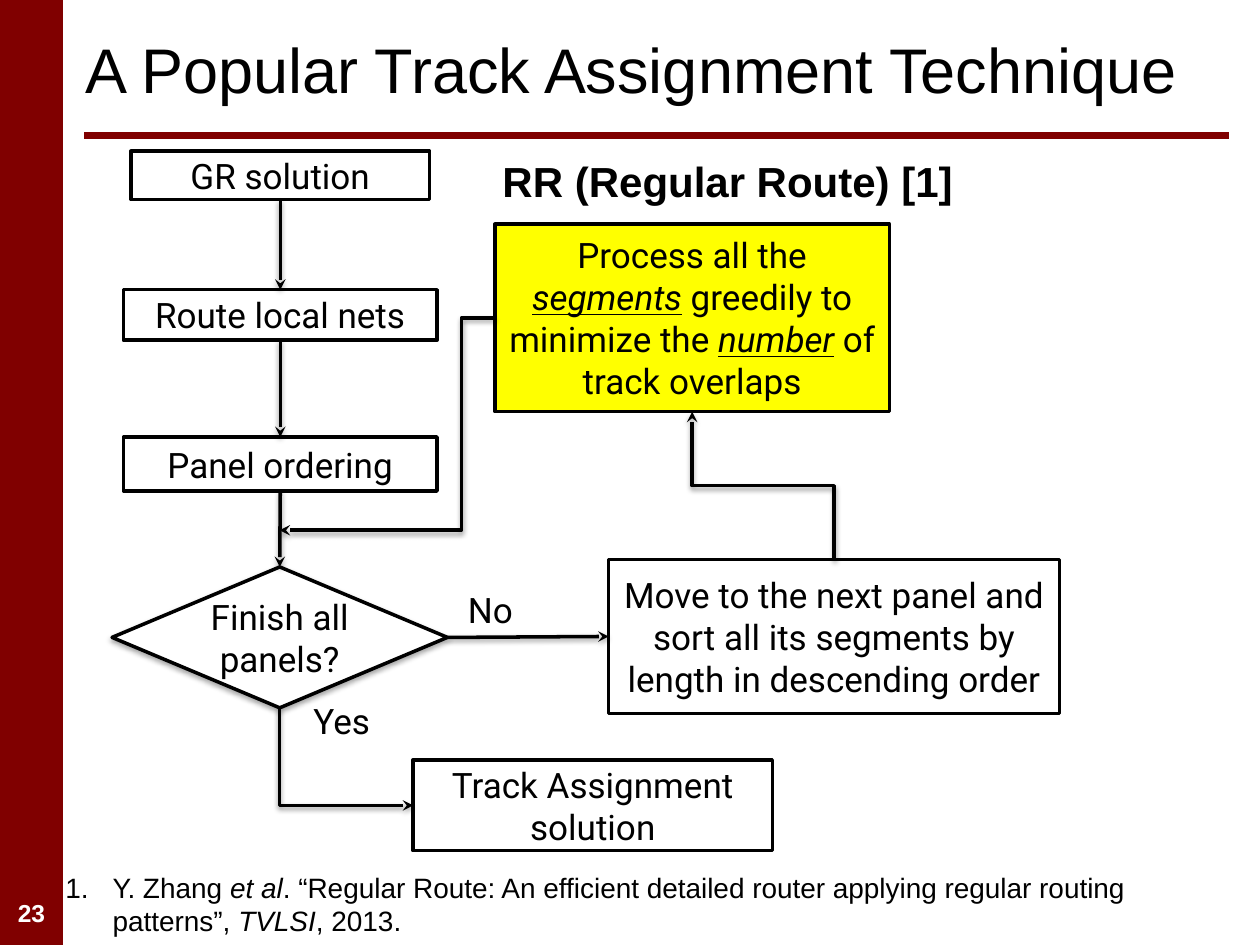
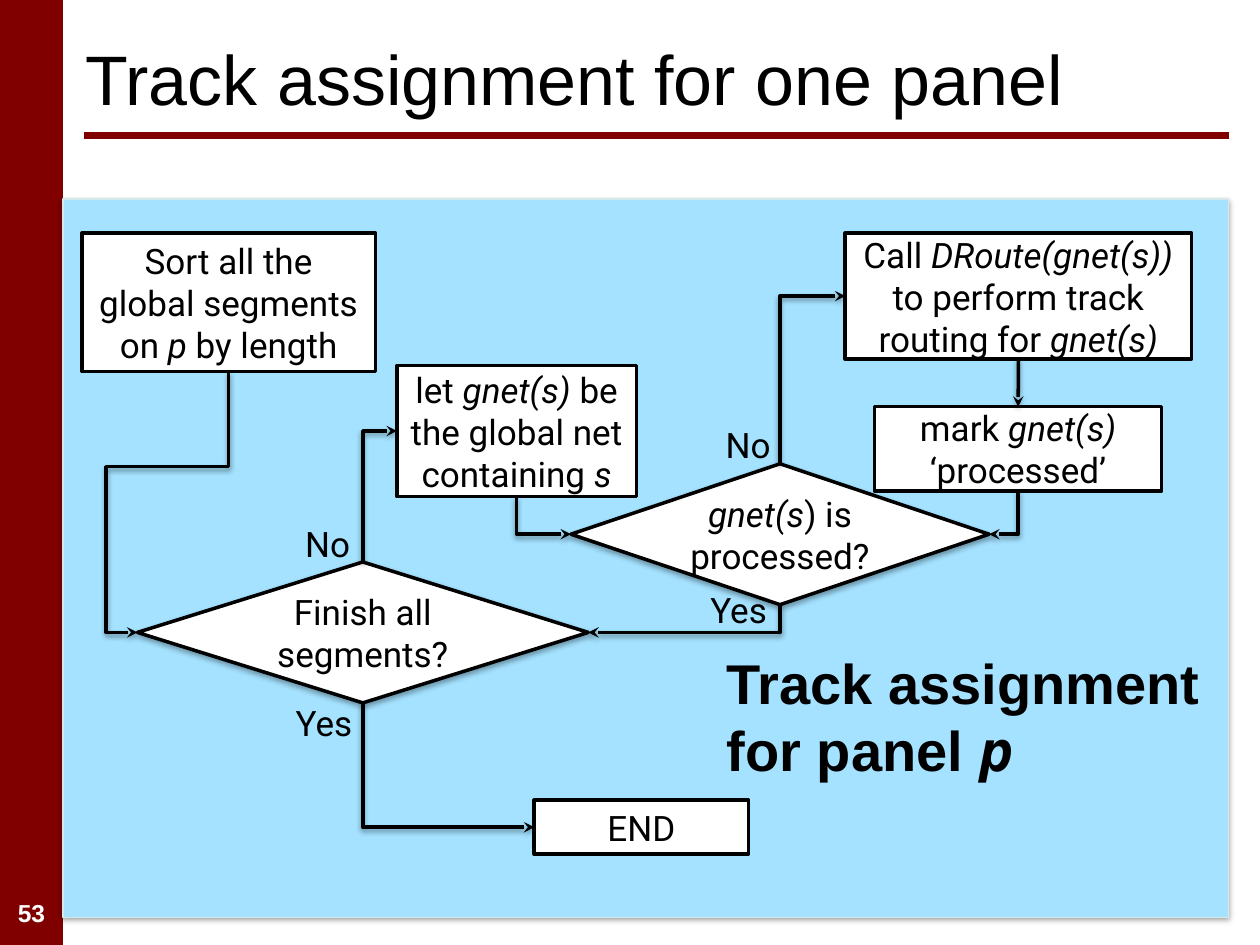
"""Build two track assignment flowchart slides."""
from lxml.etree import SubElement
from pptx import Presentation
from pptx.dml.color import RGBColor
from pptx.enum.shapes import MSO_CONNECTOR, MSO_SHAPE
from pptx.enum.text import MSO_ANCHOR, MSO_AUTO_SIZE, PP_ALIGN
from pptx.oxml.ns import qn
from pptx.util import Cm, Pt

COLORS = {"maroon": "800000", "black": "000000", "white": "FFFFFF",
          "yellow": "FFFF00", "sky": "A4E2FF", "edge": "D5E8EA"}
HEAD, BODY, MONO = "Arial", "Roboto", "DejaVu Sans Mono"
TOP, LEFT, BOTTOM, RIGHT = range(4)
NO_SIZE, YES_SIZE = (1.93, 1.12), (2.9, 1.12)

# Boxes are left, top, width, height in cm; *stars* mark italics.
# Arrows are start, side, end, side, bends (None means straight).
TECHNIQUE = {
    "title": "A Popular Track Assignment Technique",
    "title_top": 0, "title_size": 36, "number": "23",
    "nodes": {
        "input": ("step", (2.64, 3.05, 6.02, 0.97), "GR solution"),
        "result": ("step", (8.33, 15.32, 7.24, 1.83), "Track Assignment\nsolution"),
        "done": ("decision", (2.26, 11.43, 6.76, 2.84), "Finish all panels?"),
        "local": ("step", (2.49, 5.84, 6.32, 1.02), "Route local nets"),
        "order": ("step", (2.49, 8.81, 6.32, 1.09), "Panel ordering"),
        "next": ("step", (12.27, 11.28, 9.09, 3.1),
                 "Move to the next panel and sort all its segments by length "
                 "in descending order"),
        "greedy": ("focus", (9.98, 4.52, 7.95, 3.78),
                   "Process all the *segments* greedily to minimize the "
                   "*number* of track overlaps"),
    },
    "arrows": [
        ("input", BOTTOM, "local", TOP, None),
        ("local", BOTTOM, "order", TOP, None),
        ("order", BOTTOM, "done", TOP, None),
        ("done", RIGHT, "next", LEFT, None),
        ("done", BOTTOM, "result", LEFT, ()),
        ("greedy", LEFT, (5.64, 10.69), None, (0.156,)),
        ("next", TOP, "greedy", BOTTOM, (0.5,)),
    ],
    "labels": [("No", (8.92, 11.73)), ("Yes", (5.44, 13.97))],
}
ONE_PANEL = {
    "title": "Track assignment for one panel",
    "title_top": 0.2, "title_size": 40, "number": "53",
    "nodes": {
        "panel": ("panel", (1.27, 4.01, 23.5, 14.48), ""),
        "sort": ("step", (1.65, 4.7, 5.92, 2.79),
                 "Sort all the global segments on *p* by length"),
        "end": ("step", (10.77, 16.13, 4.32, 1.09), "END"),
        "done": ("decision", (2.77, 11.33, 9.09, 2.84), "Finish all segments?"),
        "let": ("step", (8, 7.37, 4.83, 2.64),
                "let *gnet(s)* be the global net containing *s*"),
        "processed": ("decision", (11.51, 9.35, 8.43, 2.84),
                      "*gnet(s*) is processed?"),
        "call": ("step", (17.04, 4.7, 6.98, 2.54),
                 "Call *DRoute(gnet(s)) *to perform track routing for *gnet(s)*"),
        "mark": ("step", (17.63, 8.2, 5.79, 1.7), "mark *gnet(s)* ‘processed’"),
    },
    "arrows": [
        ("sort", BOTTOM, "done", LEFT, (0.365, 1.342)),
        ("done", TOP, "let", LEFT, ()),
        ("let", BOTTOM, "processed", LEFT, ()),
        ("processed", TOP, "call", LEFT, ()),
        ("call", BOTTOM, "mark", TOP, None),
        ("mark", BOTTOM, "processed", RIGHT, ()),
        ("processed", BOTTOM, "done", RIGHT, ()),
        ("done", BOTTOM, "end", LEFT, ()),
    ],
    "labels": [("Yes", (5.08, 14.02)), ("No", (5.64, 10.41)),
               ("No", (14.12, 8.41)), ("Yes", (13.44, 11.73))],
}
HEADING = "RR (Regular Route) [1]"
REFERENCE = ("Y. Zhang *et al*. “Regular Route: An efficient detailed router applying "
             "regular routing patterns”, *TVLSI*, 2013.")
CAPTION = "Track assignment for panel *p*"

# kind: preset, fill, line colour, line width, shadow opacity
KINDS = {
    "step": (MSO_SHAPE.ROUNDED_RECTANGLE, "white", "black", 2, None),
    "focus": (MSO_SHAPE.ROUNDED_RECTANGLE, "yellow", "black", 2, None),
    "decision": (MSO_SHAPE.DIAMOND, "white", "black", 2, 35),
    "panel": (MSO_SHAPE.ROUNDED_RECTANGLE, "sky", "edge", 0.75, 38),
}


def rgb(name):
    return RGBColor.from_string(COLORS[name])


def write(tf, text, size, font=BODY, color="black", align=PP_ALIGN.CENTER,
          bold=False, underline=False, italic_font=None):
    for n, line in enumerate(text.split("\n")):
        p = tf.add_paragraph() if n else tf.paragraphs[0]
        p.alignment = align
        for i, piece in enumerate(line.split("*")):
            if not piece:
                continue
            italic = i % 2 == 1
            r = p.add_run()
            r.text = piece
            r.font.size, r.font.bold, r.font.italic = Pt(size), bold, italic
            r.font.underline = underline and italic
            r.font.name = italic_font if italic and italic_font else font
            r.font.color.rgb = rgb(color)


def add_text(s, box, text, size, wrap=True, **style):
    sp = s.shapes.add_textbox(*map(Cm, box))
    sp.text_frame.word_wrap = wrap
    write(sp.text_frame, text, size, **style)
    return sp


def set_shadow(sp, opacity=None):
    spPr = sp._element.spPr
    effects = spPr.find(qn("a:effectLst"))
    if effects is None:
        effects = SubElement(spPr, qn("a:effectLst"))
    if opacity:
        shadow = SubElement(effects, qn("a:outerShdw"), blurRad=str(Pt(3.1)),
                            dist=str(Pt(1.6)), dir="5400000", rotWithShape="0")
        clr = SubElement(shadow, qn("a:srgbClr"), val=COLORS["black"])
        SubElement(clr, qn("a:alpha"), val=str(opacity * 1000))


def add_node(s, kind, box, text):
    preset, fill, line, width, opacity = KINDS[kind]
    sp = s.shapes.add_shape(preset, *map(Cm, box))
    if preset == MSO_SHAPE.ROUNDED_RECTANGLE:
        sp.adjustments[0] = 0
    sp.fill.solid()
    sp.fill.fore_color.rgb = rgb(fill)
    sp.line.color.rgb = rgb(line)
    sp.line.width = Pt(width)
    sp.shadow.inherit = False
    set_shadow(sp, opacity)
    if text:
        tf = sp.text_frame
        tf.word_wrap = True
        tf.vertical_anchor = MSO_ANCHOR.MIDDLE
        write(tf, text, 20, underline=kind == "focus")
    return sp


def bend(c, vertical, bends):
    """Route an elbow from its start, leaving vertically or horizontally."""
    x, y = c.begin_x, c.begin_y
    dx, dy = c.end_x - x, c.end_y - y
    w, h = (abs(dy), abs(dx)) if vertical else (abs(dx), abs(dy))
    c.left, c.top = int(x + (dx - w) / 2), int(y + (dy - h) / 2)
    c.width, c.height = w, h
    flip_h, flip_v = (dy < 0, dx > 0) if vertical else (dx < 0, dy < 0)
    xfrm = c._element.spPr.find(qn("a:xfrm"))
    xfrm.set("rot", "5400000" if vertical else "0")
    xfrm.set("flipH", str(int(flip_h)))
    xfrm.set("flipV", str(int(flip_v)))
    geom = c._element.spPr.find(qn("a:prstGeom"))
    geom.set("prst", f"bentConnector{2 + len(bends)}")
    guides = geom.find(qn("a:avLst"))
    for n, share in enumerate(bends, 1):
        SubElement(guides, qn("a:gd"), name=f"adj{n}",
                   fmla=f"val {round(share * 100000)}")


def add_line(s, kind, ends, color, width):
    c = s.shapes.add_connector(kind, *map(Cm, ends))
    c.line.color.rgb = rgb(color)
    c.line.width = Pt(width)
    return c


def add_arrow(s, nodes, start, side, end, end_side, bends):
    kind = MSO_CONNECTOR.STRAIGHT if bends is None else MSO_CONNECTOR.ELBOW
    target = (0, 0) if end in nodes else end
    c = add_line(s, kind, (0, 0, *target), "black", 2)
    c.begin_connect(nodes[start], side)
    if end in nodes:
        c.end_connect(nodes[end], end_side)
    if bends is not None:
        bend(c, side in (TOP, BOTTOM), bends)
    ln = c._element.spPr.find(qn("a:ln"))
    SubElement(ln, qn("a:tailEnd"), type="stealth", w="med", len="med")
    set_shadow(c, 38)


def add_frame(s, content):
    band = s.shapes.add_shape(MSO_SHAPE.RECTANGLE, 0, 0, Cm(1.27), Cm(19.05))
    band.fill.solid()
    band.fill.fore_color.rgb = rgb("maroon")
    band.line.fill.background()
    band.shadow.inherit = False
    rule = add_line(s, MSO_CONNECTOR.STRAIGHT, (1.7, 2.74, 24.77, 2.74), "maroon", 4)
    set_shadow(rule)
    add_text(s, (0, 17.98, 1.27, 0.84), content["number"], 14, font=HEAD,
             color="white", bold=True)
    title = s.shapes.title
    title.left, title.top = Cm(1.47), Cm(content["title_top"])
    title.width, title.height = Cm(23.29), Cm(2.74)
    tf = title.text_frame
    tf.auto_size = MSO_AUTO_SIZE.NONE
    tf.vertical_anchor = MSO_ANCHOR.MIDDLE
    write(tf, content["title"], content["title_size"], font=HEAD, align=PP_ALIGN.LEFT)


def add_flowchart(prs, content):
    s = prs.slides.add_slide(prs.slide_layouts[5])
    add_frame(s, content)
    nodes = {name: add_node(s, *node) for name, node in content["nodes"].items()}
    for arrow in content["arrows"]:
        add_arrow(s, nodes, *arrow)
    for text, place in content["labels"]:
        add_text(s, place + (NO_SIZE if text == "No" else YES_SIZE), text, 20)
    return s


def main():
    prs = Presentation()
    prs.slide_width, prs.slide_height = Cm(25.4), Cm(19.05)
    s = add_flowchart(prs, TECHNIQUE)
    add_text(s, (9.88, 3.02, 9.68, 1.27), HEADING, 24, wrap=False, font=HEAD,
             bold=True, align=PP_ALIGN.LEFT)
    note = add_text(s, (1.07, 17.42, 24.33, 1.63), REFERENCE, 16, font=HEAD,
                    align=PP_ALIGN.LEFT)
    pPr = note.text_frame.paragraphs[0]._p.get_or_add_pPr()
    pPr.set("marL", str(Cm(0.95)))
    pPr.set("indent", str(-Cm(0.95)))
    SubElement(pPr, qn("a:buAutoNum"), type="arabicPeriod")
    s = add_flowchart(prs, ONE_PANEL)
    add_text(s, (14.4, 12.95, 10.36, 3), CAPTION, 32, font=HEAD, bold=True,
             align=PP_ALIGN.LEFT, italic_font=MONO)
    prs.save("out.pptx")


if __name__ == "__main__":
    main()
